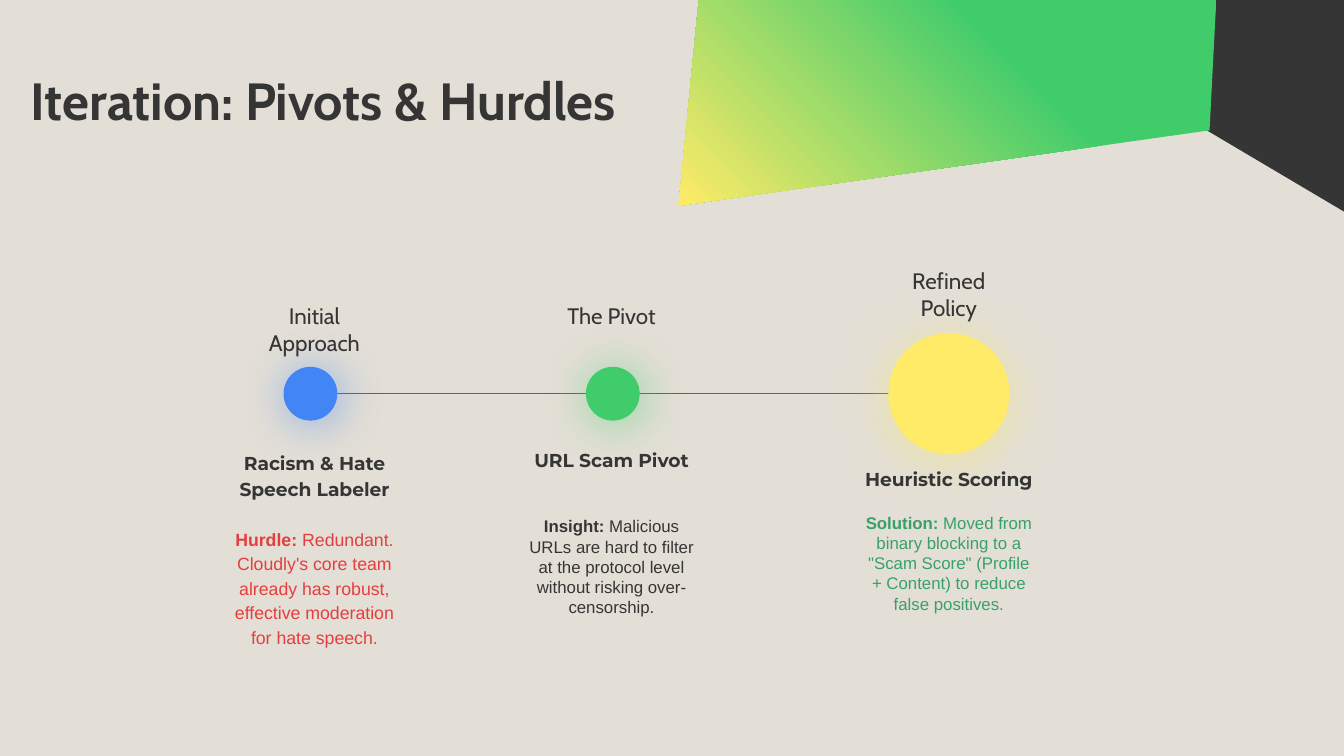
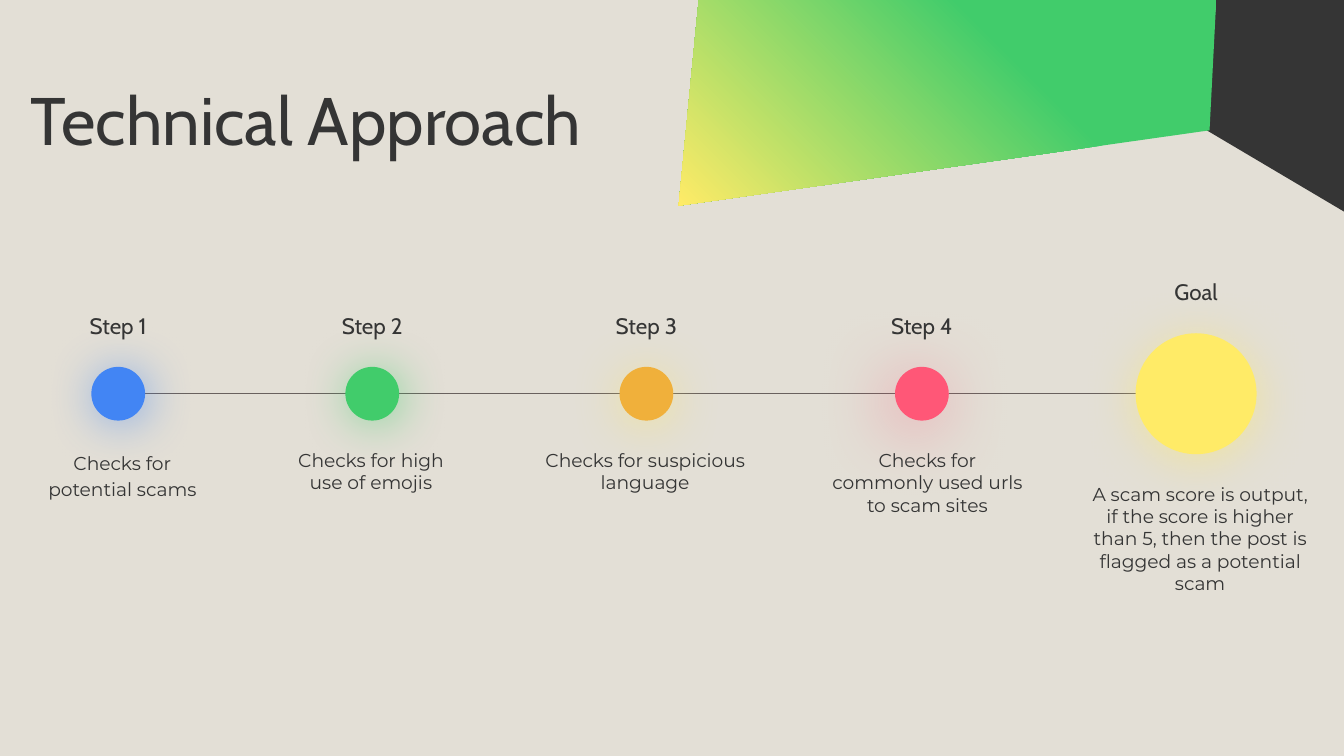
from lxml import etree
from pptx import Presentation
from pptx.dml.color import RGBColor
from pptx.enum import shapes, text
from pptx.oxml import parse_xml
from pptx.oxml.ns import qn
from pptx.util import Inches, Pt

NS = 'xmlns:a="http://schemas.openxmlformats.org/drawingml/2006/main"'
PAPER, DARK, LINE = "E3DFD6", "353535", "69615E"
BLUE, GREEN, AMBER, PINK, YELLOW = "4285F4", "41CC6B", "F0B03B", "FF5777", "FFEB67"
RED_TEXT, GREEN_TEXT = "E53E3E", "38A169"
HEAD_FONT, BODY_FONT, NOTE_FONT = "Cabin", "Montserrat", "Arial"

# Glows: colour, opacity %, blur pt, distance pt, direction degrees
BLUE_GLOW = (BLUE, 56, 25.9, 2.2, 45)
GREEN_GLOW = (GREEN, 56, 25.9, 2.2, 45)
YELLOW_GLOW = (YELLOW, 50, 27, 3, 90)
PINK_GLOW = (PINK, 50, 38.2, 6, 130)

AXIS_Y, SMALL, BIG = 2.93, 0.4, 0.9
LABEL_W, LABEL_H = 0.9, 0.4
DARK_BAND = [(8.98, 0.97), (10.01, 1.58), (10.01, -0.01), (9.05, -0.01)]
BRIGHT_BAND = [(5.2, -0.01), (5.05, 1.53), (9, 0.97), (9.05, 0)]

# Step: label, dot (centre, size, colour, glow), label (centre, top),
# body (centre, top, width, height), body text, line spacing, note
# Note: lead, rest, size, colour, space before
SLIDES = [
    {
        "title": ("Iteration: Pivots & Hurdles", 0.46, 0.63, 28, True),
        "axis": (2.24, 7.51),
        "bold": True,
        "steps": [
            ("Initial Approach", (2.31, SMALL, BLUE, BLUE_GLOW), (2.34, 2.15),
             (2.34, 3.24, 1.5, 1.88), "Racism & Hate Speech Labeler", 1.15,
             ("Hurdle:", " Redundant. Cloudly's core team already has robust, "
              "effective moderation for hate speech.", 9.5, RED_TEXT, 13.5)),
            ("The Pivot", (4.56, SMALL, GREEN, GREEN_GLOW), (4.55, 2.15),
             (4.55, 3.24, 1.5, 1.97), "URL Scam Pivot", 1,
             ("Insight:", " Malicious URLs are hard to filter at the protocol level "
              "without risking over-censorship.", 9, DARK, 24)),
            ("Refined Policy", (7.06, BIG, YELLOW, YELLOW_GLOW), (7.06, 1.89),
             (7.06, 3.38, 1.5, 1.91), "Heuristic Scoring", 1,
             ("Solution:", ' Moved from binary blocking to a "Scam Score" '
              "(Profile + Content) to reduce false positives.",
              9, GREEN_TEXT, 12)),
        ],
    },
    {
        "title": ("Technical Approach", 0.55, 0.75, 36, False),
        "axis": (0.75, 9.15),
        "bold": False,
        "steps": [
            ("Step 1", (0.88, SMALL, BLUE, BLUE_GLOW), (0.88, 2.22),
             (0.91, 3.24, 1.5, 1.16), "Checks for potential scams", 1.15, None),
            ("Step 2", (2.77, SMALL, GREEN, GREEN_GLOW), (2.77, 2.22),
             (2.76, 3.24, 1.5, 1.16), "Checks for high use of emojis", 1, None),
            ("Step 3", (4.81, SMALL, AMBER, YELLOW_GLOW), (4.81, 2.22),
             (4.8, 3.24, 1.73, 1.16), "Checks for suspicious language", 1, None),
            ("Step 4", (6.86, SMALL, PINK, PINK_GLOW), (6.86, 2.22),
             (6.9, 3.24, 1.63, 1.16),
             "Checks for commonly used urls to scam sites", 1, None),
            ("Goal", (8.9, BIG, YELLOW, YELLOW_GLOW), (8.9, 1.97),
             (8.93, 3.49, 1.8, 1.57),
             "A scam score is output, if the score is higher than 5, "
             "then the post is flagged as a potential scam", 1, None),
        ],
    },
]


def rgb(value):
    return RGBColor.from_string(value)


def paint(sp, color):
    sp.fill.solid()
    sp.fill.fore_color.rgb = rgb(color)
    sp.line.fill.background()
    sp.shadow.inherit = False


def add_band(slide, points, color):
    corners = [(Inches(x), Inches(y)) for x, y in points]
    builder = slide.shapes.build_freeform(*corners[0])
    builder.add_line_segments(corners[1:], close=True)
    sp = builder.convert_to_shape()
    paint(sp, color)
    return sp


def add_gradient(sp, stops, angle):
    gs = "".join(f'<a:gs pos="{pos * 1000}"><a:srgbClr val="{c}"/></a:gs>'
                 for pos, c in stops)
    grad = parse_xml(f'<a:gradFill {NS} rotWithShape="1"><a:gsLst>{gs}</a:gsLst>'
                     f'<a:lin ang="{angle * 60000}" scaled="0"/></a:gradFill>')
    props = sp._element.spPr
    props.replace(props.find(qn("a:solidFill")), grad)


def add_glow(sp, color, opacity, blur, dist, angle):
    effects = sp._element.spPr.find(qn("a:effectLst"))
    effects.append(parse_xml(
        f'<a:outerShdw {NS} blurRad="{int(Pt(blur))}" dist="{int(Pt(dist))}" '
        f'dir="{angle * 60000}" algn="bl" rotWithShape="0"><a:srgbClr val="{color}">'
        f'<a:alpha val="{opacity * 1000}"/></a:srgbClr></a:outerShdw>'))


def add_box(slide, left, top, width, height):
    box = slide.shapes.add_textbox(*(Inches(v) for v in (left, top, width, height)))
    tf = box.text_frame
    tf.word_wrap = True
    tf.margin_left = tf.margin_right = tf.margin_top = tf.margin_bottom = Inches(0.1)
    return tf


def write(p, runs, font, size, color=DARK, spacing=1, align=text.PP_ALIGN.CENTER):
    p.alignment = align
    p.line_spacing = float(spacing)
    for words, bold in runs:
        r = p.add_run()
        r.text = words
        r.font.name, r.font.size, r.font.bold = font, Pt(size), bold
        r.font.color.rgb = rgb(color)


def add_axis(slide, start, end):
    line = slide.shapes.add_connector(
        shapes.MSO_CONNECTOR.STRAIGHT,
        Inches(start), Inches(AXIS_Y), Inches(end), Inches(AXIS_Y))
    line.line.color.rgb = rgb(LINE)
    line.line.width = Pt(0.75)
    etree.SubElement(line._element.spPr, qn("a:effectLst"))


def add_step(slide, step, bold):
    label, dot, (label_x, label_y), body, words, spacing, note = step
    # Dot on the axis
    center, size, color, glow = dot
    sp = slide.shapes.add_shape(
        shapes.MSO_SHAPE.OVAL, Inches(center - size / 2), Inches(AXIS_Y - size / 2),
        Inches(size), Inches(size))
    paint(sp, color)
    add_glow(sp, *glow)
    # Label above
    tf = add_box(slide, label_x - LABEL_W / 2, label_y, LABEL_W, LABEL_H)
    write(tf.paragraphs[0], [(label, False)], HEAD_FONT, 12)
    # Text below
    body_x, top, width, height = body
    tf = add_box(slide, body_x - width / 2, top, width, height)
    write(tf.paragraphs[0], [(words, bold)], BODY_FONT, 10, spacing=spacing)
    if note:
        lead, rest, size, color, before = note
        p = tf.add_paragraph()
        p.space_before = Pt(before)
        write(p, [(lead, True), (rest, False)], NOTE_FONT, size, color, spacing)


def build_slide(prs, content):
    slide = prs.slides.add_slide(prs.slide_layouts[6])
    # Corner bands
    add_band(slide, DARK_BAND, DARK)
    bright = add_band(slide, BRIGHT_BAND, GREEN)
    add_gradient(bright, [(0, GREEN), (35, GREEN), (100, YELLOW)], 135)
    # Title
    title, top, height, size, bold = content["title"]
    tf = add_box(slide, 0.13, top, 6.37, height)
    write(tf.paragraphs[0], [(title, bold)], HEAD_FONT, size, spacing=0.9,
          align=text.PP_ALIGN.LEFT)
    # Timeline
    add_axis(slide, *content["axis"])
    for step in content["steps"]:
        add_step(slide, step, content["bold"])


def main():
    prs = Presentation()
    # Widescreen, 16:9
    prs.slide_width, prs.slide_height = Inches(10), Inches(10 * 9 / 16)
    fill = prs.slide_master.background.fill
    fill.solid()
    fill.fore_color.rgb = rgb(PAPER)
    for content in SLIDES:
        build_slide(prs, content)
    prs.save("out.pptx")


if __name__ == "__main__":
    main()
